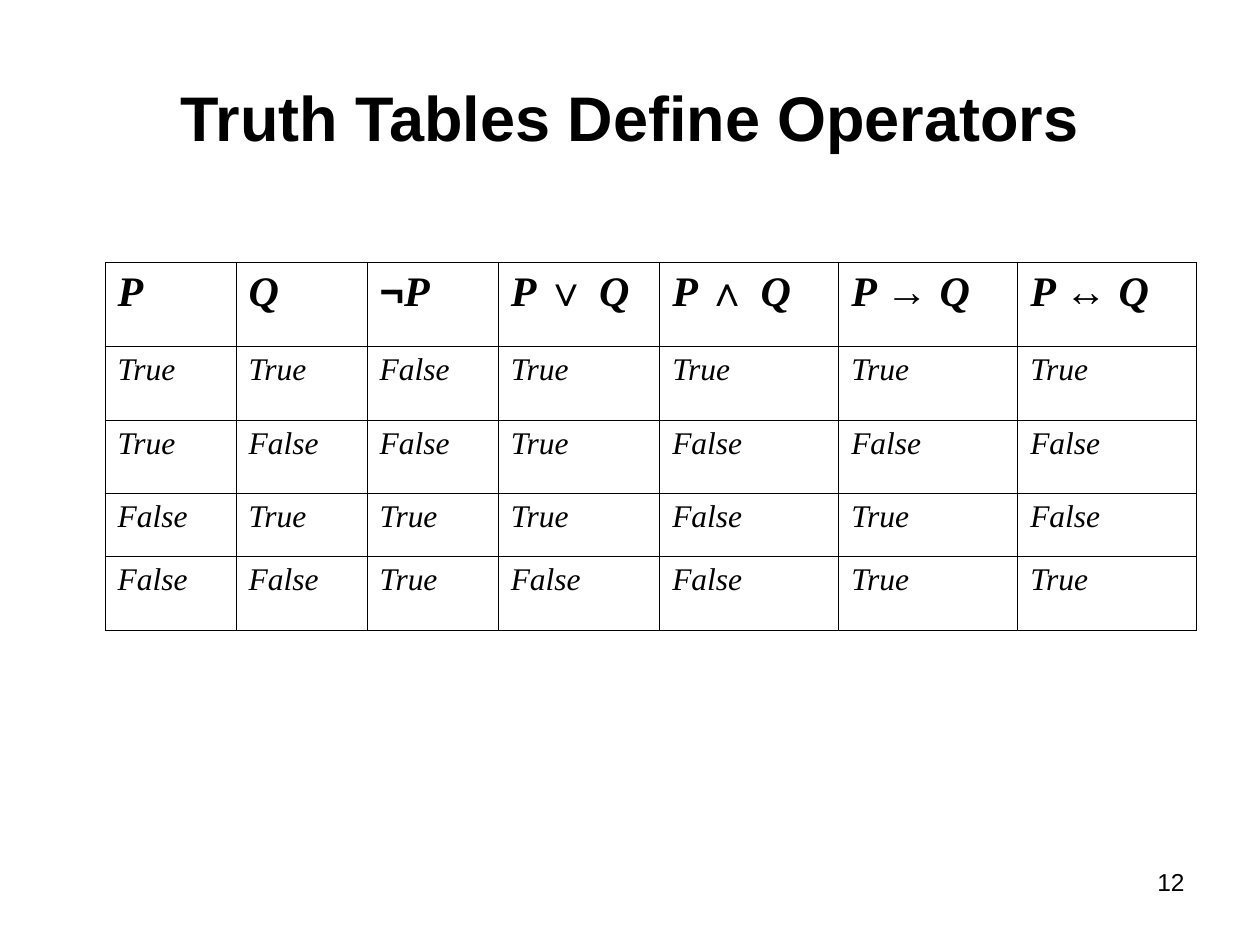
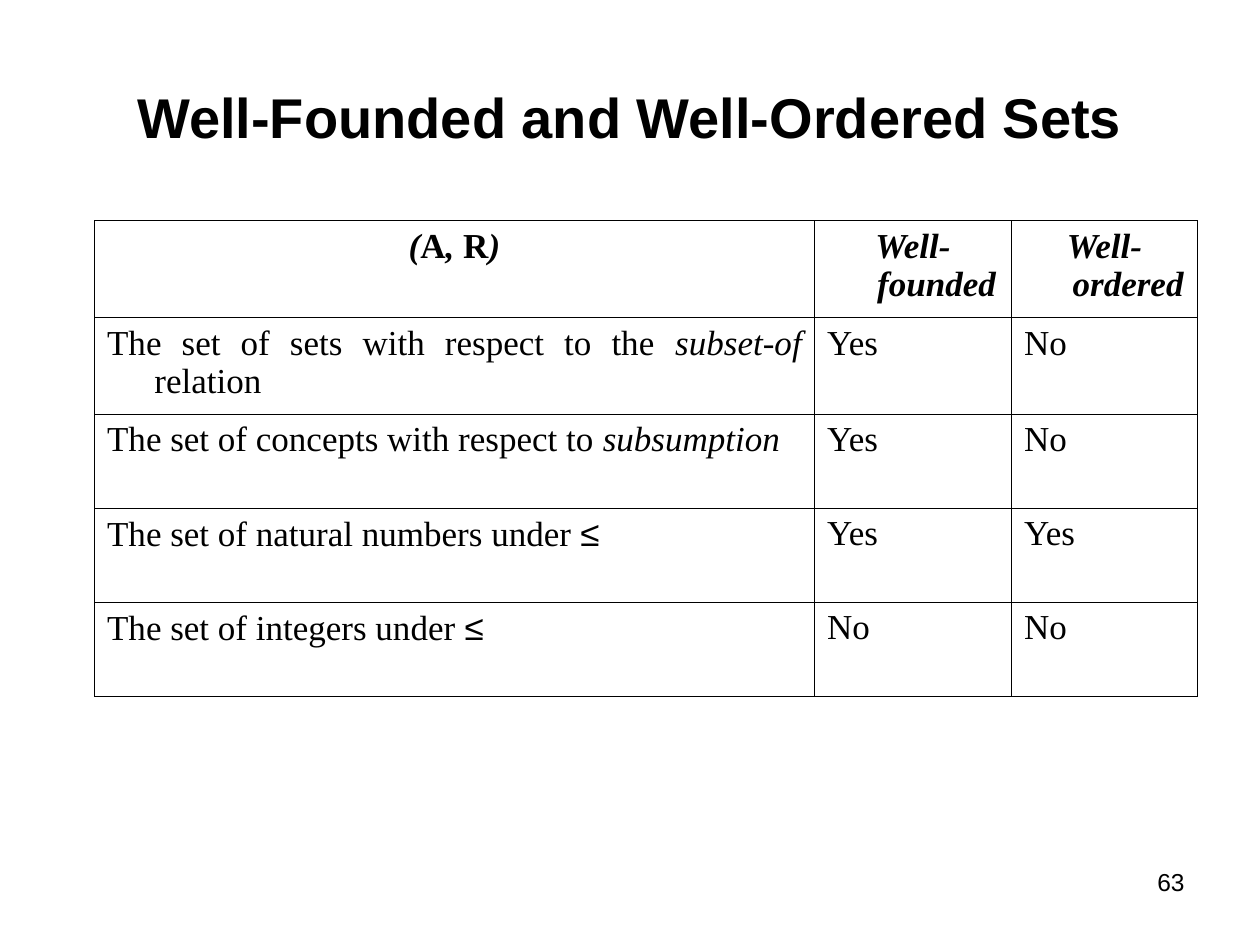
from lxml import etree
from pptx import Presentation
from pptx.dml.color import RGBColor
from pptx.enum.text import MSO_ANCHOR, PP_ALIGN
from pptx.oxml.ns import qn
from pptx.util import Pt

LEFT, MID, RIGHT = PP_ALIGN.JUSTIFY, PP_ALIGN.CENTER, PP_ALIGN.RIGHT
CENTRE = MSO_ANCHOR.MIDDLE
SANS, SERIF = "Arial", "Times New Roman"
INK = "000000"
SIGNS = "¬∨∧→↔≤"
HANG = Pt(27)
RULE = Pt(0.45)


def style(font, name, size, bold=False, italic=False, ink=INK):
    font.name, font.size = name, Pt(size)
    font.bold, font.italic = bold, italic
    font.color.rgb = RGBColor.from_string(ink)


def frame(cell):
    """Clear the fill of a cell and rule its four sides."""
    cell.fill.background()
    props = cell._tc.get_or_add_tcPr()
    for i, side in enumerate(("lnL", "lnR", "lnT", "lnB")):
        line = etree.Element(qn("a:" + side), w=str(int(RULE)))
        fill = etree.SubElement(line, qn("a:solidFill"))
        etree.SubElement(fill, qn("a:srgbClr"), val=INK)
        props.insert(i, line)


# Content: a bar switches to and from the other style (sign or slant)
truth = [
    ["P", "Q", "|¬|P"] + [f"P |{sign} |Q" for sign in "∨∧→↔"],
    ["True", "True", "False", "True", "True", "True", "True"],
    ["True", "False", "False", "True", "False", "False", "False"],
    ["False", "True", "True", "True", "False", "True", "False"],
    ["False", "False", "True", "False", "False", "True", "True"],
]
sets = [
    ["(|A|, |R|)", "Well-founded", "Well-ordered"],
    ["The set of sets with respect to the |subset-of| relation", "Yes", "No"],
    ["The set of concepts with respect to |subsumption", "Yes", "No"],
    ["The set of natural numbers under |≤ ", "Yes", "Yes"],
    ["The set of integers under |≤", "No", "No"],
]
pages = [
    dict(title="Truth Tables Define Operators", size=36, num="12",
         data=truth, at=(60, 150), cols=[74.9] * 3 + [92.3] + [102.3] * 3,
         rows=[48, 42.2, 41.8, 36, 42.2], head=24, body=18,
         slant=True, align=LEFT),
    dict(title="Well-Founded and Well-Ordered Sets", size=32, num="63",
         data=sets, at=(54, 126), cols=[411.4, 112.6, 106.3],
         rows=[55.4] * 2 + [53.7] * 3, head=20, body=20,
         slant=False, align=MID),
]

deck = Presentation()
deck.slide_width, deck.slide_height = Pt(720), Pt(540)

for page in pages:
    slide = deck.slides.add_slide(deck.slide_layouts[5])

    # Title
    title = slide.shapes.title
    title.left, title.top = Pt(36), Pt(21.6)
    title.width, title.height = Pt(648), Pt(90)
    title.text_frame.vertical_anchor = CENTRE
    title.text_frame.text = page["title"]
    para = title.text_frame.paragraphs[0]
    para.alignment = MID
    style(para.font, SANS, page["size"], bold=True)

    # Table grid
    cols, rows = page["cols"], page["rows"]
    left, top = page["at"]
    table = slide.shapes.add_table(
        len(rows), len(cols), Pt(left), Pt(top),
        Pt(sum(cols)), Pt(sum(rows))).table
    table.first_row = table.horz_banding = False
    for col, width in zip(table.columns, cols):
        col.width = Pt(width)
    for row, height in zip(table.rows, rows):
        row.height = Pt(height)

    # Table text
    for r, words in enumerate(page["data"]):
        head = r == 0
        slant = head or page["slant"]
        for c, text in enumerate(words):
            cell = table.cell(r, c)
            frame(cell)
            para = cell.text_frame.paragraphs[0]
            para.alignment = page["align"] if head else LEFT
            props = para._p.get_or_add_pPr()
            props.set("marL", str(int(HANG)))
            props.set("indent", str(-int(HANG)))
            style(para.font, SERIF, page["head" if head else "body"],
                  head, slant)
            for i, part in enumerate(text.split("|")):
                if not part:
                    continue
                run = para.add_run()
                run.text = part
                if part[0] in SIGNS:
                    run.font.name, run.font.italic = SANS, False
                elif i % 2:
                    run.font.italic = not slant

    # Page number
    box = slide.shapes.add_textbox(Pt(516), Pt(492), Pt(168), Pt(37.5))
    box.text_frame.word_wrap = True
    box.text_frame.text = page["num"]
    para = box.text_frame.paragraphs[0]
    para.alignment = RIGHT
    style(para.font, SANS, 14)

deck.save("out.pptx")
